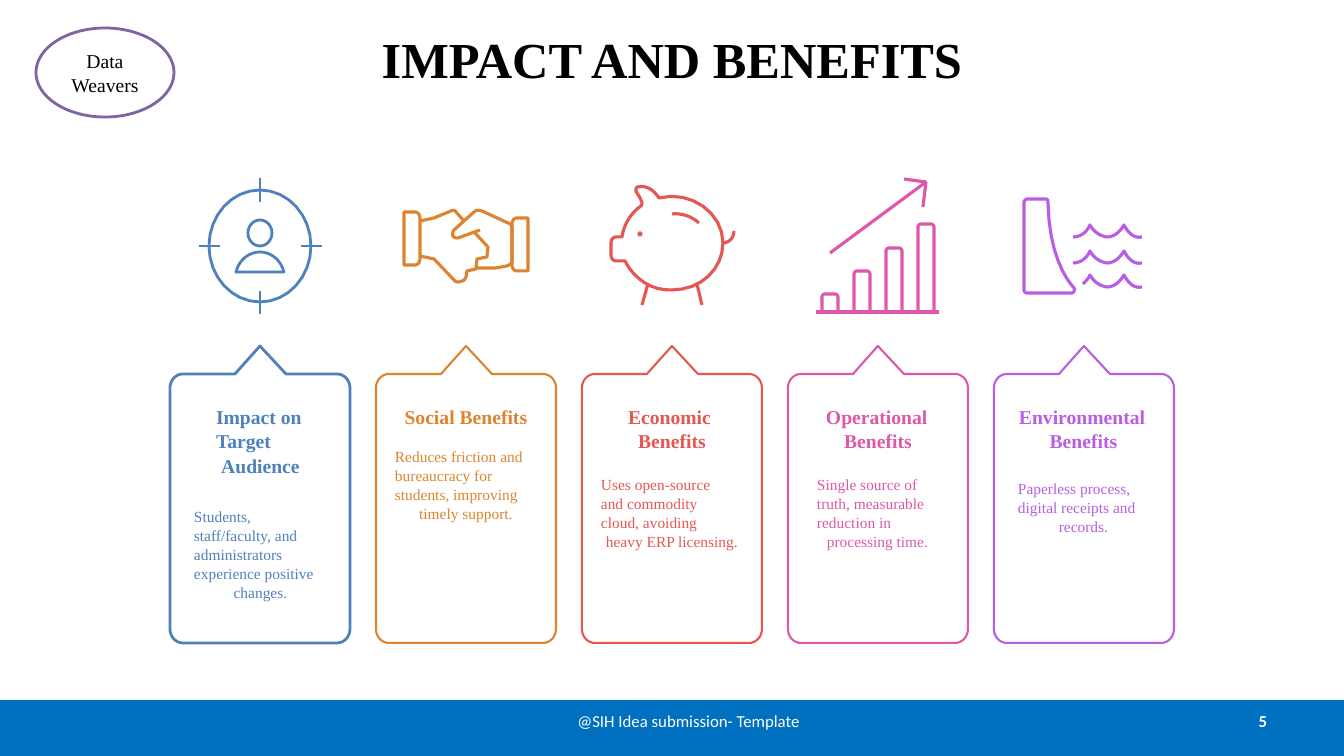
from pptx import Presentation
from pptx.util import Pt
from pptx.dml.color import RGBColor
from pptx.enum.shapes import MSO_SHAPE
from pptx.enum.text import PP_ALIGN, MSO_ANCHOR

INK = {
    "bar": "0070C0", "white": "FFFFFF", "black": "000000", "ring": "8064A2",
    "blue": "4F81BD", "gold": "DE8431", "red": "E55753",
    "pink": "DE58A9", "plum": "BA5DE5",
}
ROMAN = "Times New Roman"
FORM = {
    "title": {"size": Pt(36), "name": ROMAN, "bold": True},
    "team": {"size": Pt(14), "name": ROMAN, "bold": False},
    "head": {"size": Pt(14), "name": ROMAN, "bold": True},
    "body": {"size": Pt(11), "name": ROMAN, "bold": False},
    "foot": {"size": Pt(12), "name": "Calibri", "bold": False},
    "page": {"size": Pt(12), "name": "Calibri", "bold": True},
}
CARDS = [
    ("blue", 2, 2, ["Impact on", "Target", "Audience"], (216, 404, 89, 72),
     ["Students,", "staff/faculty, and", "administrators",
      "experience positive", "changes."], (194, 506, 133, 94)),
    ("gold", 1.5, 2.25, ["Social Benefits"], (399, 404, 134, 24),
     ["Reduces friction and", "bureaucracy for", "students, improving",
      "timely support."], (395, 446, 142, 75)),
    ("red", 1.5, 2.25, ["Economic", "Benefits"], (628, 404, 88, 47),
     ["Uses open-source", "and commodity", "cloud, avoiding",
      "heavy ERP licensing."], (601, 474, 142, 75)),
    ("pink", 1.5, 2.25, ["Operational", "Benefits"], (826, 404, 104, 47),
     ["Single source of", "truth, measurable", "reduction in",
      "processing time."], (817, 474, 121, 75)),
    ("plum", 1.5, 2.25, ["Environmental", "Benefits"], (1019, 404, 129, 47),
     ["Paperless process,", "digital receipts and", "records."],
     (1018, 478, 131, 56)),
]
FRAME = """M 0 57 L 0 42 C 0 34 6 28 13 28 L 65 28 L 90 0 L 116 28 L 167 28
C 174 28 180 34 180 42 L 180 283 C 180 291 174 297 167 297
L 13 297 C 6 297 0 291 0 283 Z"""
AIM = """M 260 202 L 260 178 M 260 314 L 260 291 M 220 246 L 199 246
M 322 246 L 301 246 M 284 272 L 236 272 C 239 260 249 252 260 252
C 271 252 281 260 284 272 Z """
HANDS = """M 476 268 L 496 268 L 507 266 C 510 265 512 263 512 260 L 512 228
C 512 226 510 223 508 223 L 482 211 C 479 210 476 210 474 212 L 454 230
C 453 231 452 234 453 236 C 454 238 456 238 458 238 L 480 230
M 420 256 L 434 259 L 454 280 C 455 282 457 282 459 282 L 462 281
C 464 281 465 279 466 277 L 467 271 L 476 269 L 477 259 L 487 257 L 488 247
L 474 232 M 464 221 L 456 212 C 455 210 453 210 451 211 L 434 218 L 420 221
M 404 212 L 415 212 C 418 212 420 215 420 218 L 420 259
C 420 262 418 265 415 265 L 404 265 Z
M 517 218 L 528 218 L 528 271 L 517 271 C 514 271 512 268 512 265 L 512 224
C 512 221 514 218 517 218 Z"""
PIG = """M 699 223 C 691 216 681 213 672 214 M 734 231 C 734 238 729 243 723 243
M 659 198 C 654 190 646 185 638 187 C 637 187 636 188 636 190
C 636 191 636 192 637 193 C 639 196 641 199 642 203
C 642 204 642 205 641 206 C 631 213 624 224 622 237 L 616 237
C 613 237 611 240 611 243 L 611 255 C 611 258 613 261 616 261 L 625 261
C 634 279 652 291 672 290 C 701 290 723 269 723 243
C 723 213 691 190 659 198 Z M 648 284 L 642 305 M 697 284 L 702 305 """
TREND = """M 816 312 L 939 312 M 830 253 L 926 182
M 923 207 L 926 182 L 904 179 """
DAM = """M 1072 293 C 1073 293 1074 292 1074 291 C 1075 290 1075 289 1074 288
C 1065 278 1049 253 1048 202 C 1048 200 1047 199 1046 199 L 1027 199
C 1026 199 1024 201 1024 202 L 1024 290 C 1024 292 1026 293 1027 293 Z """
BARS = [294, 271, 248, 224]
WAVES = [(237, "1087 {1} 1081 {2} 1073 {2}"), (263, "1087 {1} 1081 {2} 1073 {2}"),
         (287, "1089 {0} 1086 {3} 1083 {4}")]
PX = 914400 / 100.8
STEPS = 8


def emu(n):
    return round(n * PX)


def tint(name):
    return RGBColor.from_string(INK[name])


def oval(x, y, a, b):
    c, d = a * 0.55, b * 0.55
    return (f"M {x - a} {y} C {x - a} {y + d} {x - c} {y + b} {x} {y + b} "
            f"C {x + c} {y + b} {x + a} {y + d} {x + a} {y} "
            f"C {x + a} {y - d} {x + c} {y - b} {x} {y - b} "
            f"C {x - c} {y - b} {x - a} {y - d} {x - a} {y} Z ")


def column(x, top):
    return (f"M {x + 16} 312 L {x + 16} {top + 3} "
            f"C {x + 16} {top + 2} {x + 15} {top} {x + 13} {top} L {x + 3} {top} "
            f"C {x + 1} {top} {x} {top + 2} {x} {top + 3} L {x} 312 ")


def wave(y, end):
    return (f"M 1142 {y} C 1131 {y + 3} 1124 {y - 12} 1124 {y - 12} "
            f"C 1120 {y - 5} 1114 {y} 1107 {y} "
            f"C 1100 {y - 1} 1094 {y - 5} 1090 {y - 12} "
            f"C {end.format(y - 9, y - 5, y, y - 6, y - 3)} ")


def curve(a, b, c, d):
    for i in range(1, STEPS + 1):
        t = i / STEPS
        s = 1 - t
        yield tuple(s**3 * p + 3 * s * s * t * q + 3 * s * t * t * r + t**3 * v
                    for p, q, r, v in zip(a, b, c, d))


def trace(text):
    runs, marks = [], iter(text.split())

    def pair():
        return float(next(marks)), float(next(marks))

    for mark in marks:
        if mark == "M":
            runs.append([[pair()], False])
        elif mark == "L":
            runs[-1][0].append(pair())
        elif mark == "C":
            dots = runs[-1][0]
            dots.extend(curve(dots[-1], pair(), pair(), pair()))
        else:
            runs[-1][1] = True
    return runs


def draw(slide, text, color, width, left=0, top=0):
    pen = None
    for dots, shut in trace(text):
        pts = [(emu(x + left), emu(y + top)) for x, y in dots]
        if pen is None:
            pen = slide.shapes.build_freeform(*pts[0], scale=1.0)
        else:
            pen.move_to(*pts[0])
        pen.add_line_segments(pts[1:], close=shut)
    shape = pen.convert_to_shape()
    shape.shadow.inherit = False
    shape.fill.background()
    shape.line.color.rgb = tint(color)
    shape.line.width = Pt(width)


def write(shape, lines, form, color, aligns, pad=None, anchor=MSO_ANCHOR.MIDDLE,
          space=None):
    frame = shape.text_frame
    frame.word_wrap = True
    frame.vertical_anchor = anchor
    if pad is not None:
        for side in ("left", "top", "right", "bottom"):
            setattr(frame, "margin_" + side, pad)
    for i, (line, align) in enumerate(zip(lines, aligns)):
        para = frame.paragraphs[0] if i == 0 else frame.add_paragraph()
        para.alignment = align
        para.line_spacing = space
        run = para.add_run()
        run.text = line
        for key, val in FORM[form].items():
            setattr(run.font, key, val)
        run.font.color.rgb = tint(color)


def label(slide, box, *args, **opts):
    write(slide.shapes.add_textbox(*map(emu, box)), *args, **opts)


def solid(slide, kind, box, fill, line=None):
    shape = slide.shapes.add_shape(kind, *map(emu, box))
    shape.shadow.inherit = False
    shape.fill.solid()
    shape.fill.fore_color.rgb = tint(fill)
    if line:
        shape.line.color.rgb = tint(line)
        shape.line.width = Pt(2)
    else:
        shape.line.fill.background()
    return shape


def main():
    deck = Presentation()
    deck.slide_width, deck.slide_height = emu(1344), emu(756)
    slide = deck.slides.add_slide(deck.slide_layouts[6])
    mid, right = [PP_ALIGN.CENTER], [PP_ALIGN.RIGHT]

    solid(slide, MSO_SHAPE.RECTANGLE, (0, 700, 1344, 56), "bar")
    label(slide, (67, -5, 1210, 126), ["IMPACT AND BENEFITS"], "title", "black", mid)
    label(slide, (964, 701, 313, 40), ["5"], "page", "white", right)
    label(slide, (512, 701, 353, 40), ["@SIH Idea submission- Template"],
          "foot", "white", mid)
    team = solid(slide, MSO_SHAPE.OVAL, (36, 28, 138, 89), "white", "ring")
    write(team, ["Data Weavers"], "team", "black", mid)

    icons = [
        AIM + oval(260, 246, 51, 56) + oval(260, 233, 12, 13),
        HANDS,
        PIG + oval(640, 234, 1, 1),
        TREND + "".join(column(822 + 32 * i, top) for i, top in enumerate(BARS)),
        DAM + "".join(wave(*row) for row in WAVES),
    ]
    for i, (card, icon) in enumerate(zip(CARDS, icons)):
        color, edge, stroke, head, spot, body, place = card
        draw(slide, FRAME, color, edge, 170 + 206 * i, 346)
        draw(slide, icon, color, stroke)
        for lines, box, form in ((head, spot, "head"), (body, place, "body")):
            aligns = [PP_ALIGN.LEFT] * (len(lines) - 1) + mid
            label(slide, box, lines, form, color, aligns, pad=0,
                  anchor=MSO_ANCHOR.TOP, space=1.04)
    deck.save("out.pptx")


if __name__ == "__main__":
    main()
